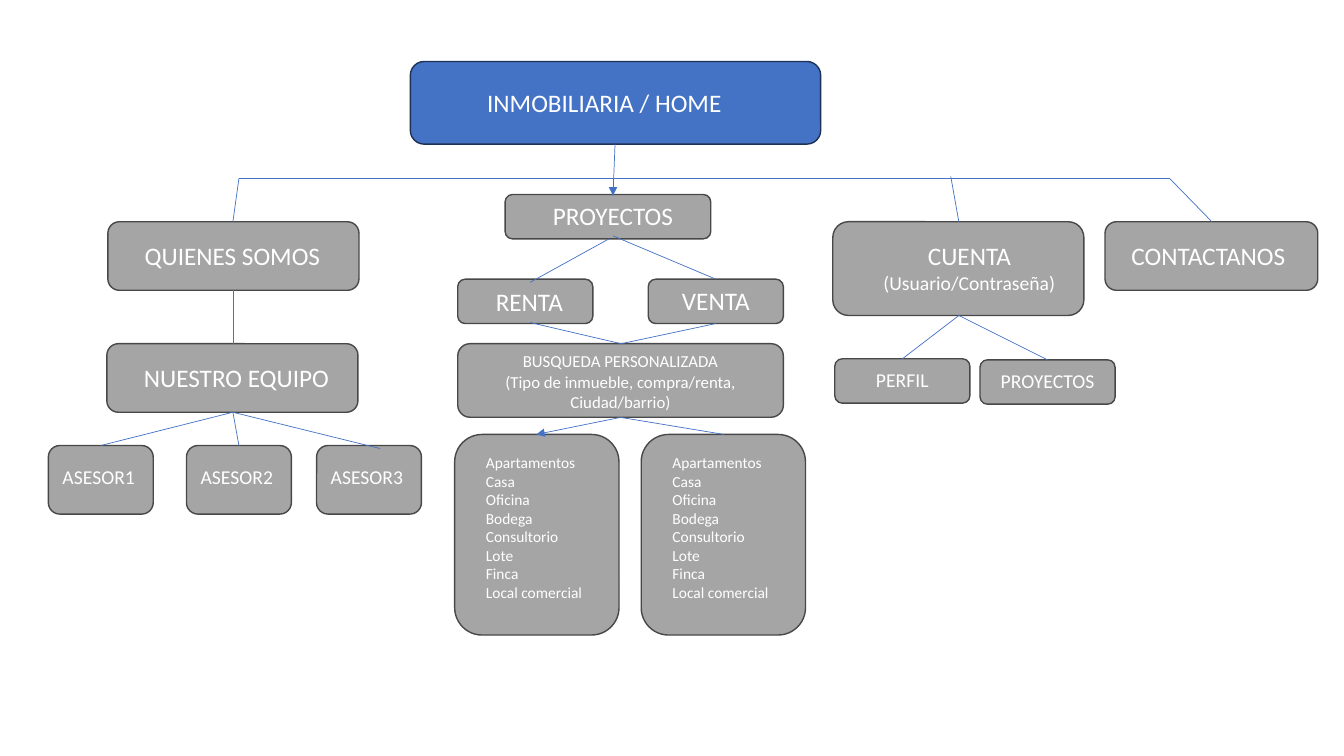
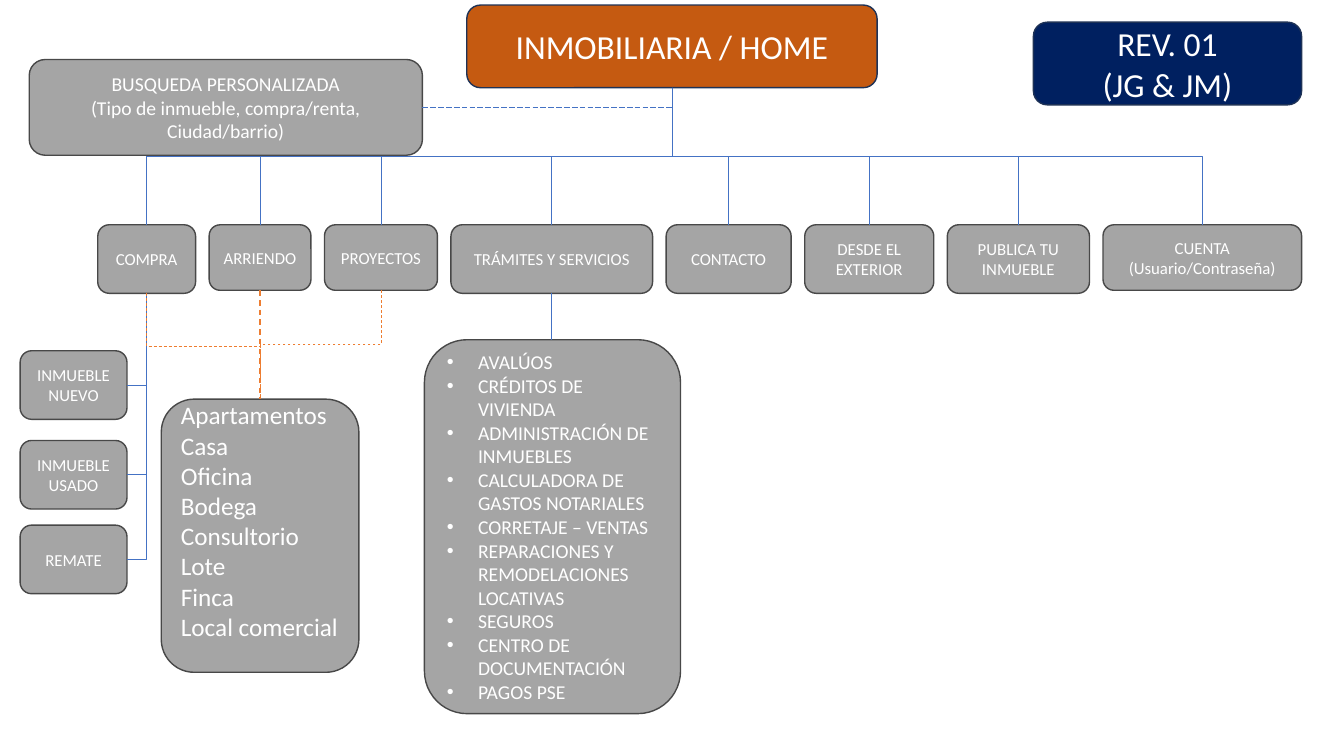
"""Builds two site maps of a real estate website, a first draft and its revision."""
from pptx import Presentation
from pptx.dml.color import RGBColor
from pptx.enum.dml import MSO_LINE
from pptx.enum.shapes import MSO_CONNECTOR, MSO_SHAPE
from pptx.enum.text import MSO_ANCHOR, PP_ALIGN
from pptx.oxml.ns import qn
from pptx.util import Inches, Pt

GREY, GREY_EDGE = "A5A5A5", "484848"
BLUE, BLUE_EDGE = "4472C4", "1E3256"
RUST, NAVY, ORANGE = "C55A11", "002060", "ED7D31"
PROPERTY_TYPES = "Apartamentos\nCasa\nOficina\nBodega\nConsultorio\nLote\nFinca\nLocal comercial"
SEARCH = "BUSQUEDA PERSONALIZADA\n(Tipo de inmueble, compra/renta, Ciudad/barrio)"
ACCOUNT = "CUENTA\n(Usuario/Contraseña)"
HOME = "INMOBILIARIA / HOME"


def add_node(slide, text, x, y, w, h, size, fill=GREY, edge=GREY_EDGE,
             align=PP_ALIGN.CENTER, nudge=0, lift=0):
    node = slide.shapes.add_shape(
        MSO_SHAPE.ROUNDED_RECTANGLE, Inches(x), Inches(y), Inches(w), Inches(h))
    node.shadow.inherit = False
    node.fill.solid()
    node.fill.fore_color.rgb = RGBColor.from_string(fill)
    node.line.color.rgb = RGBColor.from_string(edge)
    node.line.width = Pt(1)
    frame = node.text_frame
    frame.word_wrap = True
    frame.vertical_anchor = MSO_ANCHOR.MIDDLE
    frame.margin_left, frame.margin_right = Inches(0.1 + nudge), Inches(0.1 - nudge)
    frame.margin_bottom = Inches(0.05 + lift)
    frame.text = text
    for paragraph in frame.paragraphs:
        paragraph.alignment = align
        paragraph.font.name = "Calibri"
        paragraph.font.size = Pt(size)
        paragraph.font.color.rgb = RGBColor.from_string("FFFFFF")
    return frame


def add_link(slide, start, end, bends=0, downward=False, color=BLUE, width=0.5,
             dash=None, arrow=False):
    (x1, y1), (x2, y2) = start, end
    side = 1 if x2 > x1 else -1
    if downward:
        middle_x, middle_y = (x1 + x2) / 2, (y1 + y2) / 2
        reach, drop = side * (y2 - y1) / 2, abs(x2 - x1) / 2
        x1, y1, x2, y2 = middle_x + reach, middle_y - drop, middle_x - reach, middle_y + drop
    kind = MSO_CONNECTOR.ELBOW if bends else MSO_CONNECTOR.STRAIGHT
    link = slide.shapes.add_connector(kind, Inches(x1), Inches(y1), Inches(x2), Inches(y2))
    link.line.color.rgb = RGBColor.from_string(color)
    link.line.width = Pt(width)
    if dash:
        link.line.dash_style = dash
    properties = link.element.spPr
    if downward:
        properties.find(qn("a:xfrm")).set("rot", str((180 + 90 * side) * 60000))
    if bends:
        properties.find(qn("a:prstGeom")).set("prst", f"bentConnector{bends + 1}")
    if arrow:
        outline = properties.find(qn("a:ln"))
        outline.append(outline.makeelement(qn("a:tailEnd"), {"type": "triangle"}))
    properties.append(properties.makeelement(qn("a:effectLst"), {}))


deck = Presentation()
deck.slide_width, deck.slide_height = Inches(13.33), Inches(7.5)
blank = deck.slide_layouts[6]

draft = deck.slides.add_slide(blank)
add_node(draft, HOME, 4.07, 0.61, 4.07, 0.82, 18, BLUE, BLUE_EDGE, nudge=-0.11)
for text, x, y, w, h, size, nudge, lift in [
    ("QUIENES SOMOS", 1.07, 2.2, 2.49, 0.68, 18, -0.01, 0.02),
    ("NUESTRO EQUIPO", 1.06, 3.41, 2.49, 0.68, 18, 0.04, 0.02),
    ("ASESOR1", 0.48, 4.42, 1.04, 0.68, 14, -0.02, 0.07),
    ("ASESOR2", 1.85, 4.42, 1.04, 0.68, 14, -0.02, 0.07),
    ("ASESOR3", 3.14, 4.42, 1.04, 0.68, 14, -0.02, 0.07),
    ("PROYECTOS", 5.01, 1.93, 2.04, 0.44, 18, 0.05, 0.02),
    ("RENTA", 4.54, 2.77, 1.34, 0.44, 18, 0.04, 0),
    ("VENTA", 6.43, 2.77, 1.34, 0.44, 18, 0, 0.02),
    (SEARCH, 4.54, 3.41, 3.23, 0.73, 12, 0, -0.02),
    ("CONTACTANOS", 10.96, 2.2, 2.11, 0.68, 18, -0.03, 0.02),
    ("PERFIL", 8.28, 3.56, 1.34, 0.44, 14, 0, 0.02),
    ("PROYECTOS", 9.72, 3.57, 1.34, 0.44, 14, 0, 0.02),
]:
    add_node(draft, text, x, y, w, h, size, nudge=nudge, lift=lift)
account = add_node(draft, ACCOUNT, 8.26, 2.2, 2.49, 0.93, 18, nudge=0.11, lift=0.02)
account.paragraphs[1].font.size = Pt(14)
for x in (4.51, 6.36):
    add_node(draft, PROPERTY_TYPES, x, 4.31, 1.63, 1.99, 11,
             align=PP_ALIGN.LEFT, nudge=0.13, lift=0.15)

for start, end, arrow in [
    ((2.37, 1.77), (11.6, 1.77), False),
    ((2.37, 1.77), (2.31, 2.2), False),
    ((11.6, 1.77), (12.02, 2.2), False),
    ((6.08, 1.77), (6.08, 1.94), True),
    ((6.1, 1.43), (6.08, 1.94), False),
    ((2.31, 2.88), (2.31, 3.41), False),
    ((2.31, 4.09), (1, 4.42), False),
    ((2.31, 4.09), (2.37, 4.42), False),
    ((2.31, 4.09), (3.77, 4.45), False),
    ((6.04, 2.37), (5.26, 2.8), False),
    ((6.08, 2.34), (7.1, 2.77), False),
    ((5.26, 3.2), (6.16, 3.41), False),
    ((7.1, 3.21), (6.16, 3.41), False),
    ((6.16, 4.14), (5.32, 4.31), True),
    ((6.15, 4.14), (7.18, 4.31), False),
    ((9.43, 1.75), (9.51, 2.2), False),
    ((9.51, 3.13), (8.95, 3.56), False),
    ((9.51, 3.13), (10.39, 3.57), False),
]:
    add_link(draft, start, end, arrow=arrow)

revision = deck.slides.add_slide(blank)
add_node(revision, HOME, 4.63, 0.05, 4.07, 0.82, 24, RUST, BLUE_EDGE)
add_node(revision, "REV. 01\n(JG & JM)", 10.25, 0.22, 2.66, 0.82, 24, NAVY, BLUE_EDGE)
add_node(revision, SEARCH, 0.29, 0.59, 3.9, 0.95, 14)

menu = [
    ("COMPRA", 0.97, 0.68),
    ("ARRIENDO", 1.01, 0.65),
    ("PROYECTOS", 1.12, 0.65),
    ("TRÁMITES Y SERVICIOS", 2, 0.68),
    ("CONTACTO", 1.24, 0.68),
    ("DESDE EL EXTERIOR", 1.28, 0.68),
    ("PUBLICA TU INMUEBLE", 1.41, 0.68),
    (ACCOUNT, 1.97, 0.65),
]
menu_left, menu_right, menu_top = 0.97, 12.91, 2.23
gap = (menu_right - menu_left - sum(w for _, w, _ in menu)) / (len(menu) - 1)
home_bottom = (6.67, 0.87)
centers = []
x = menu_left
for text, w, h in menu:
    add_node(revision, text, x, menu_top, w, h, 12)
    centers.append(x + w / 2)
    add_link(revision, home_bottom, (centers[-1], menu_top), bends=2, downward=True)
    x += w + gap
buy, rent, projects, services = centers[:4]
add_link(revision, (4.19, 1.07), home_bottom, bends=1, dash=MSO_LINE.LONG_DASH)

for text, y in (("INMUEBLE NUEVO", 3.48), ("INMUEBLE USADO", 4.37), ("REMATE", 5.21)):
    add_node(revision, text, 0.2, y, 1.06, 0.68, 12)
    add_link(revision, (buy, 2.91), (1.26, y + 0.34), bends=1, downward=True)

add_node(revision, PROPERTY_TYPES, 1.6, 3.96, 1.96, 2.71, 18,
         align=PP_ALIGN.LEFT, lift=0.3)
for center, y, width in ((buy, 2.91, 0.5), (rent, 2.88, 1), (projects, 2.88, 0.5)):
    add_link(revision, (center, y), (rent, 3.96), bends=2, downward=True,
             color=ORANGE, width=width, dash=MSO_LINE.DASH)

service_names = "\n".join([
    "AVALÚOS",
    "CRÉDITOS DE VIVIENDA",
    "ADMINISTRACIÓN DE INMUEBLES",
    "CALCULADORA DE GASTOS NOTARIALES",
    "CORRETAJE – VENTAS",
    "REPARACIONES Y REMODELACIONES LOCATIVAS",
    "SEGUROS",
    "CENTRO DE DOCUMENTACIÓN",
    "PAGOS PSE",
])
service_list = add_node(revision, service_names, 4.21, 3.37, 2.54, 3.71, 14,
                        align=PP_ALIGN.LEFT)
for paragraph in service_list.paragraphs:
    layout = paragraph._p.get_or_add_pPr()
    layout.set("marL", str(Inches(0.31)))
    layout.set("indent", str(Inches(-0.31)))
    bullet_font = layout.makeelement(qn("a:buFont"), {"typeface": "Arial"})
    bullet = layout.makeelement(qn("a:buChar"), {"char": "•"})
    layout.find(qn("a:defRPr")).addprevious(bullet_font)
    bullet_font.addnext(bullet)
add_link(revision, (services, 3.37), (services, 2.91))

deck.save("out.pptx")
